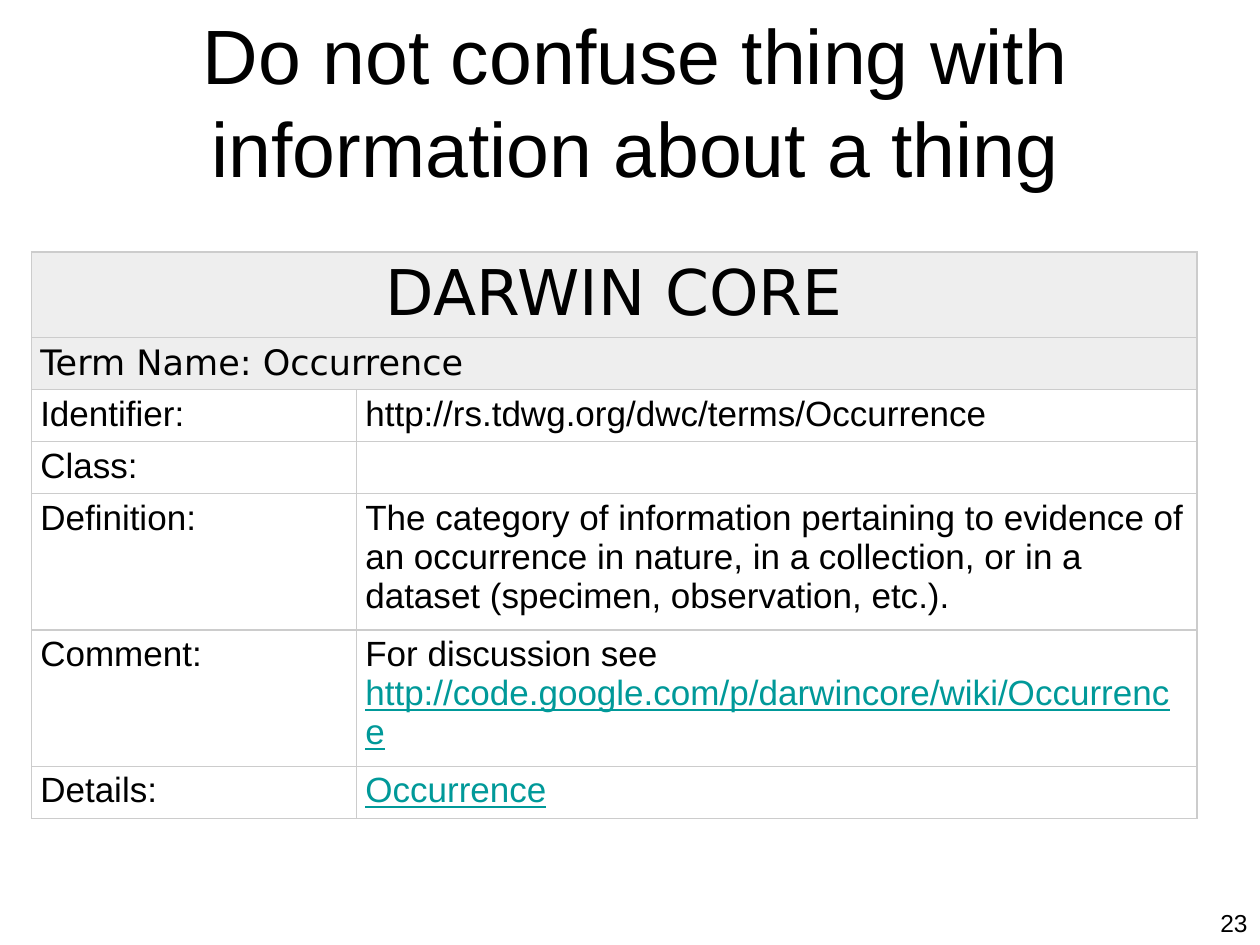
from lxml import etree
from pptx import Presentation
from pptx.dml.color import RGBColor
from pptx.enum.text import MSO_ANCHOR, PP_ALIGN
from pptx.oxml.ns import qn
from pptx.util import Inches, Pt

CENTER, LEFT, RIGHT = PP_ALIGN.CENTER, PP_ALIGN.LEFT, PP_ALIGN.RIGHT
TOP, MIDDLE = MSO_ANCHOR.TOP, MSO_ANCHOR.MIDDLE
COLORS = {"text": "000000", "link": "009999", "header": "EEEEEE", "border": "CCCCCC"}
SANS, HEADER_FONT = "Arial", "DejaVu Sans"

COLUMN_WIDTHS = [2.58, 6.67]
# Minimum heights: rows grow to fit their text
ROW_HEIGHTS = [0.29, 0.29, 0.29, 0.29, 0.71, 0.71, 0.29]
# Header rows: text, size, alignment
HEADERS = [("DARWIN CORE", 36, CENTER), ("Term Name: Occurrence", 20, LEFT)]
# Term rows: label, plain text, link text
TERMS = [
    ("Identifier:", "http://rs.tdwg.org/dwc/terms/Occurrence", ""),
    ("Class:", "", ""),
    ("Definition:", "The category of information pertaining to evidence of an occurrence "
     "in nature, in a collection, or in a dataset (specimen, observation, etc.).", ""),
    # A no-break space keeps "see" with the address
    ("Comment:", "For discussion see ", "http://code.google.com/p/darwincore/wiki/Occurrence"),
    ("Details:", "", "Occurrence"),
]


def color(name):
    return RGBColor.from_string(COLORS[name])


def write(frame, text, size, font=SANS, align=LEFT, link=""):
    para = frame.paragraphs[0]
    para.alignment = align
    para.font.size = Pt(size)
    para.font.name = font
    para.font.color.rgb = color("text")
    if text:
        para.add_run().text = text
    if link:
        span = para.add_run()
        span.text = link
        span.font.color.rgb = color("link")
        span.font.underline = True


def add_text(page, place, text, size, align, anchor):
    box = page.shapes.add_textbox(*map(Inches, place))
    box.text_frame.word_wrap = True
    box.text_frame.vertical_anchor = anchor
    write(box.text_frame, text, size, align=align)


def style_cell(cell, fill=None):
    cell.margin_left = cell.margin_right = Inches(0.07)
    cell.margin_top = cell.margin_bottom = Inches(0.04)
    properties = cell._tc.get_or_add_tcPr()
    for side in ("lnL", "lnR", "lnT", "lnB"):
        line = etree.SubElement(properties, qn(f"a:{side}"), w=str(Pt(0.75)))
        solid = etree.SubElement(line, qn("a:solidFill"))
        etree.SubElement(solid, qn("a:srgbClr"), val=COLORS["border"])
    if fill:
        cell.fill.solid()
        cell.fill.fore_color.rgb = color(fill)
    else:
        cell.fill.background()


def add_term_table(page):
    place = (0.25, 2, sum(COLUMN_WIDTHS), sum(ROW_HEIGHTS))
    table = page.shapes.add_table(len(ROW_HEIGHTS), len(COLUMN_WIDTHS),
                                  *map(Inches, place)).table
    table.first_row = table.horz_banding = False
    for column, width in zip(table.columns, COLUMN_WIDTHS):
        column.width = Inches(width)
    for index, height in enumerate(ROW_HEIGHTS):
        table.rows[index].height = Inches(height)
        for cell in table.rows[index].cells:
            style_cell(cell, "header" if index < len(HEADERS) else None)

    # Merged header rows
    for index, (text, size, align) in enumerate(HEADERS):
        cell = table.cell(index, 0)
        cell.merge(table.cell(index, 1))
        write(cell.text_frame, text, size, HEADER_FONT, align)

    # Label and value rows
    for index, (label, text, link) in enumerate(TERMS, len(HEADERS)):
        write(table.cell(index, 0).text_frame, label, 20)
        write(table.cell(index, 1).text_frame, text, 20, link=link)


def main():
    deck = Presentation()
    deck.slide_width, deck.slide_height = Inches(10), Inches(7.5)
    page = deck.slides.add_slide(deck.slide_layouts[6])

    # Title
    add_text(page, (0.42, 0.17, 9.25, 1.25),
             "Do not confuse thing with information about a thing", 44, CENTER, MIDDLE)

    add_term_table(page)

    # Page number
    add_text(page, (8.25, 7.16, 1.75, 0.33), "23", 14, RIGHT, TOP)
    deck.save("out.pptx")


if __name__ == "__main__":
    main()
